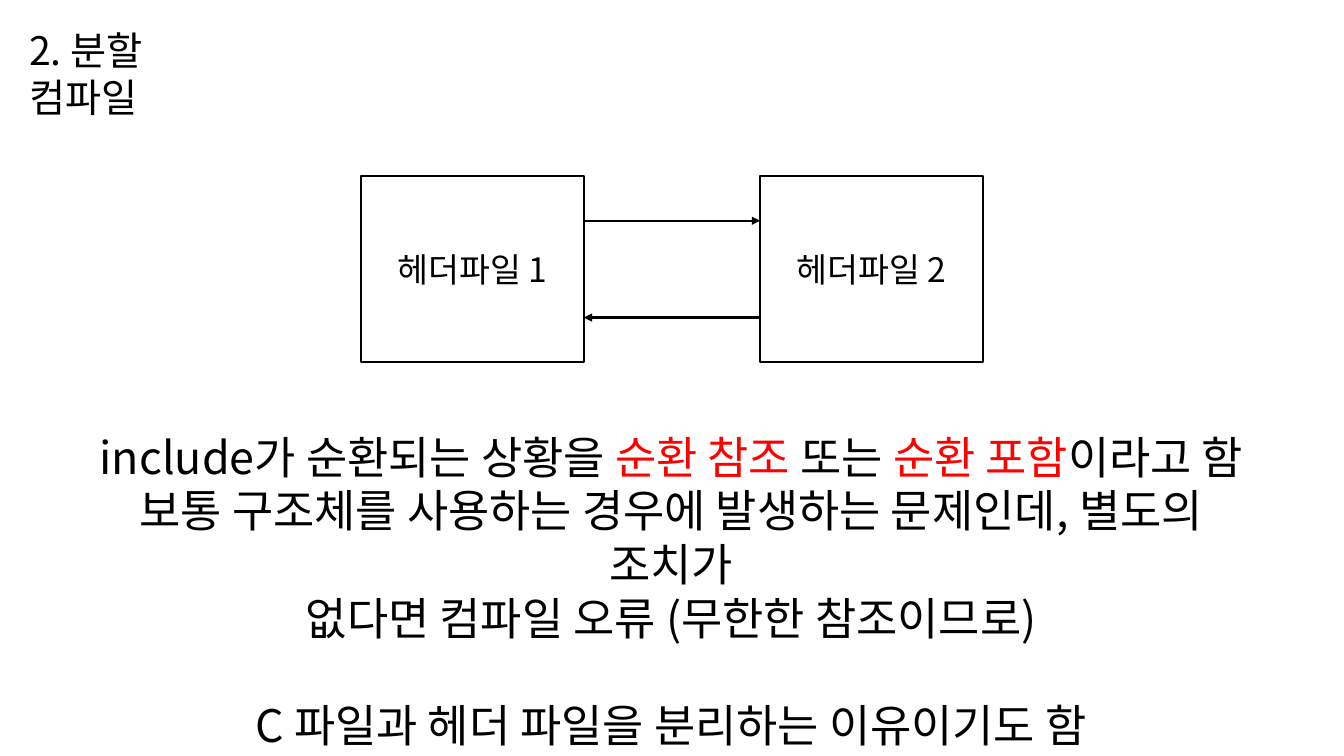
import pptx
import pptx.util
import pptx.dml.color
import pptx.enum.shapes
import pptx.enum.text
import pptx.oxml.ns
from lxml import etree

Inches, Pt = pptx.util.Inches, pptx.util.Pt
qn = pptx.oxml.ns.qn
ALIGN = pptx.enum.text.PP_ALIGN
FONT = "Noto Sans CJK KR"
COLORS = {"ink": "000000", "accent": "FF0000", "paper": "FFFFFF"}
LINE_HEIGHT = 1.2

BOX_TOP, BOX_W, BOX_H = 1.75, 2.21, 1.84
BOX_LEFTS = (3.58, 7.54)
BODY = [
    [("include가 순환되는 상황을 ", "ink"), ("순환 참조", "accent"),
     (" 또는 ", "ink"), ("순환 포함", "accent"), ("이라고 함", "ink")],
    [("보통 구조체를 사용하는 경우에 발생하는 문제인데, 별도의 조치가", "ink")],
    [("없다면 컴파일 오류 (무한한 참조이므로)", "ink")],
    [("C 파일과 헤더 파일을 분리하는 이유이기도 함", "ink")],
]


def rgb(name):
    return pptx.dml.color.RGBColor.from_string(COLORS[name])


def write_paragraph(p, parts, size, align):
    """Fill a paragraph with (text, colour name) runs."""
    p.alignment = align
    p.line_spacing = Pt(size * LINE_HEIGHT)
    p.font.size = Pt(size)
    p.font.name = FONT
    p.font.color.rgb = rgb("ink")
    defaults = p._p.get_or_add_pPr().find(qn("a:defRPr"))
    etree.SubElement(defaults, qn("a:ea")).set("typeface", FONT)
    for text, color in parts:
        r = p.add_run()
        r.text = text
        if color != "ink":
            r.font.color.rgb = rgb(color)


def add_text(s, left, top, width, height, paragraphs, size, align, inset=0.1):
    tf = s.shapes.add_textbox(Inches(left), Inches(top), Inches(width), Inches(height)).text_frame
    tf.word_wrap = True
    tf.margin_left = tf.margin_right = Inches(inset)
    for i, parts in enumerate(paragraphs):
        p = tf.add_paragraph() if i else tf.paragraphs[0]
        write_paragraph(p, parts, size, align)
    return tf


def add_header_box(s, left, label):
    sp = s.shapes.add_shape(pptx.enum.shapes.MSO_SHAPE.RECTANGLE, Inches(left),
                            Inches(BOX_TOP), Inches(BOX_W), Inches(BOX_H))
    sp.shadow.inherit = False
    sp.fill.solid()
    sp.fill.fore_color.rgb = rgb("paper")
    sp.line.color.rgb = rgb("ink")
    sp.line.width = Pt(1.5)
    tf = sp.text_frame
    tf.vertical_anchor = pptx.enum.text.MSO_ANCHOR.MIDDLE
    write_paragraph(tf.paragraphs[0], [(label, "ink")], 24, ALIGN.CENTER)


def add_arrow(s, start, end, y):
    c = s.shapes.add_connector(pptx.enum.shapes.MSO_CONNECTOR.STRAIGHT,
                               Inches(start), Inches(y), Inches(end), Inches(y))
    c.line.color.rgb = rgb("ink")
    c.line.width = Pt(1.5)
    etree.SubElement(c.line._get_or_add_ln(), qn("a:tailEnd")).set("type", "triangle")
    etree.SubElement(c._element.spPr, qn("a:effectLst"))


def main():
    prs = pptx.Presentation()
    prs.slide_width, prs.slide_height = Inches(13.33), Inches(7.5)
    s = prs.slides.add_slide(prs.slide_layouts[6])

    add_text(s, 0.19, 0.21, 2.42, 0.57, [[("2. 분할 컴파일", "ink")]], 28, ALIGN.LEFT)
    tf = add_text(s, 0.61, 4.21, 12.1, 2.79, BODY, 32, ALIGN.CENTER, inset=0.2)
    tf.paragraphs[-1].space_before = Pt(32 * LINE_HEIGHT)

    for number, left in enumerate(BOX_LEFTS, 1):
        add_header_box(s, left, f"헤더파일 {number}")
    gap_start, gap_end = BOX_LEFTS[0] + BOX_W, BOX_LEFTS[1]
    add_arrow(s, gap_start, gap_end, 2.19)
    add_arrow(s, gap_end, gap_start, 3.15)

    prs.save("out.pptx")


if __name__ == "__main__":
    main()
